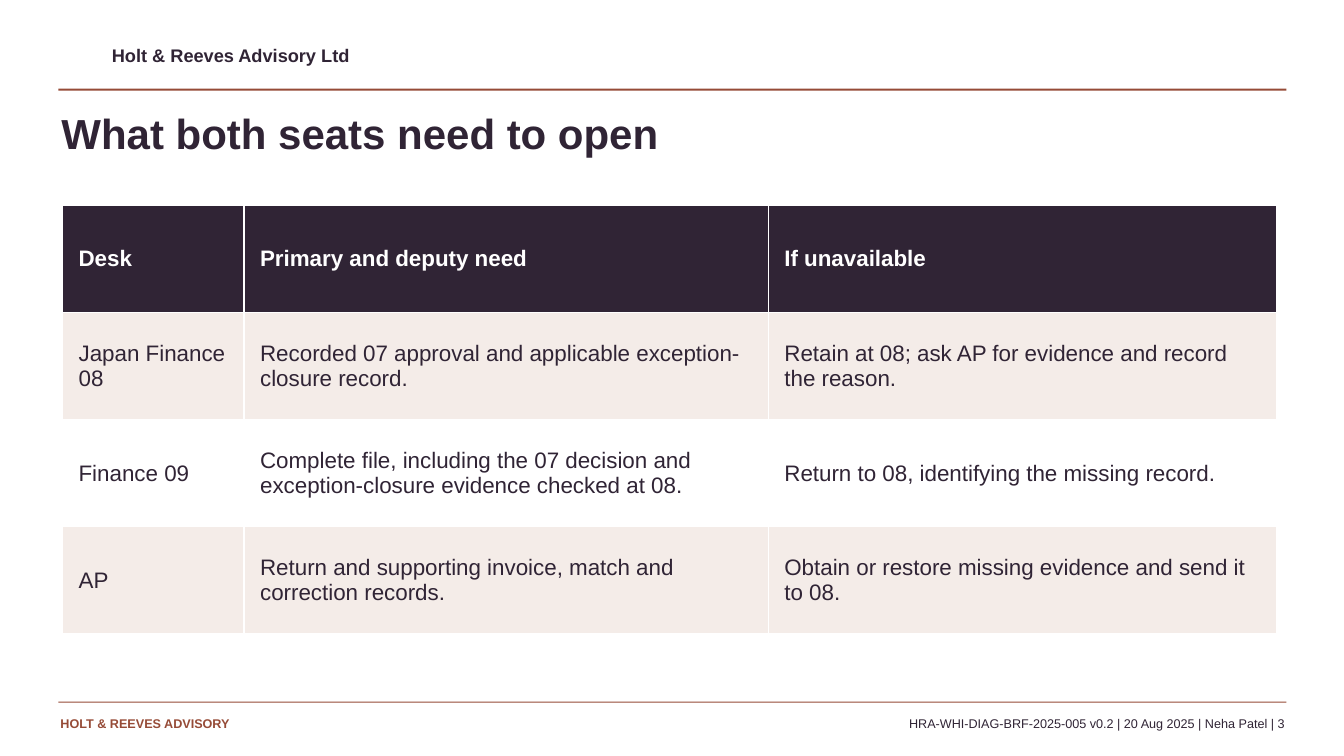
from lxml import etree
from pptx import Presentation
from pptx.dml.color import RGBColor
from pptx.enum.shapes import MSO_SHAPE
from pptx.enum.text import MSO_ANCHOR, PP_ALIGN
from pptx.oxml.ns import qn
from pptx.util import Pt

PX = 9144
FONT = "Arial"
COLORS = {"ink": "302435", "rust": "964B37", "blush": "F4ECE8", "white": "FFFFFF"}
LEFT, RIGHT = PP_ALIGN.LEFT, PP_ALIGN.RIGHT
TOP, MIDDLE = MSO_ANCHOR.TOP, MSO_ANCHOR.MIDDLE
RECTANGLE = MSO_SHAPE.RECTANGLE

COLUMN_WIDTHS = [180, 520, 504]
DESK_ROWS = [
    ["Desk", "Primary and deputy need", "If unavailable"],
    ["Japan Finance 08",
     "Recorded 07 approval and applicable exception-closure record.",
     "Retain at 08; ask AP for evidence and record the reason."],
    ["Finance 09",
     "Complete file, including the 07 decision and exception-closure evidence checked at 08.",
     "Return to 08, identifying the missing record."],
    ["AP",
     "Return and supporting invoice, match and correction records.",
     "Obtain or restore missing evidence and send it to 08."],
]


def px(*lengths):
    return [length * PX for length in lengths]


def rgb(name):
    return RGBColor.from_string(COLORS[name])


def write(frame, text, size, color, bold=False, align=LEFT):
    frame.text = text
    frame.word_wrap = True
    paragraph = frame.paragraphs[0]
    paragraph.alignment = align
    for run in paragraph.runs:
        run.font.name = FONT
        run.font.size = Pt(size)
        run.font.bold = bold
        run.font.color.rgb = rgb(color)


def clear_insets(frame):
    frame.margin_left = frame.margin_top = frame.margin_right = frame.margin_bottom = 0
    frame.vertical_anchor = TOP


def add_label(slide, box, text, size, color, bold=False, align=LEFT):
    frame = slide.shapes.add_textbox(*px(*box)).text_frame
    clear_insets(frame)
    write(frame, text, size, color, bold, align)


def add_rule(slide, left, top, width, height):
    rule = slide.shapes.add_shape(RECTANGLE, *px(left, top, width, height))
    rule.shadow.inherit = False
    rule.fill.solid()
    rule.fill.fore_color.rgb = rgb("rust")
    rule.line.fill.background()


def add_header(slide, left, top, width):
    add_label(slide, (left + 53, top, 600, 27), "Holt & Reeves Advisory Ltd", 13, "ink", True)
    add_rule(slide, left, top + 44, width, 2)


def add_title(slide, left, top, width, height):
    title = slide.shapes.title
    title.left, title.top, title.width, title.height = px(left, top, width, height)
    clear_insets(title.text_frame)
    write(title.text_frame, "What both seats need to open", 30, "ink", True)


def set_borders(cell):
    properties = cell._tc.get_or_add_tcPr()
    for side in "LRTB":
        border = etree.SubElement(properties, qn(f"a:ln{side}"), w=str(Pt(1)))
        fill = etree.SubElement(border, qn("a:solidFill"))
        etree.SubElement(fill, qn("a:srgbClr"), val=COLORS["white"])


def add_desk_table(slide, left, top, width, height):
    frame = slide.shapes.add_table(len(DESK_ROWS), len(COLUMN_WIDTHS), *px(left, top, width, height))
    table = frame.table
    for column, column_width in zip(table.columns, COLUMN_WIDTHS):
        column.width = column_width * PX
    for index, (row, texts) in enumerate(zip(table.rows, DESK_ROWS)):
        heading = index == 0
        background = "ink" if heading else "blush" if index % 2 else "white"
        for cell, text in zip(row.cells, texts):
            set_borders(cell)
            cell.fill.solid()
            cell.fill.fore_color.rgb = rgb(background)
            cell.margin_left = cell.margin_right = 16 * PX
            cell.margin_top = cell.margin_bottom = 5 * PX
            cell.vertical_anchor = MIDDLE
            write(cell.text_frame, text, 16, "white" if heading else "ink", heading)


def add_footer(slide, left, top, width):
    add_rule(slide, left, top, width, 1)
    add_label(slide, (left + 2, top + 14, 340, 25), "HOLT & REEVES ADVISORY", 9, "rust", True)
    add_label(slide, (left + 354, top + 14, width - 356, 23),
              "HRA-WHI-DIAG-BRF-2025-005 v0.2 | 20 Aug 2025 | Neha Patel | 3", 9, "ink", align=RIGHT)


def main():
    deck = Presentation()
    deck.slide_width, deck.slide_height = px(1333, 750)
    slide = deck.slides.add_slide(deck.slide_layouts[5])
    add_header(slide, 58, 44, 1218)
    add_title(slide, 61, 107, 1200, 78)
    add_desk_table(slide, 62, 204, sum(COLUMN_WIDTHS), 425)
    add_footer(slide, 58, 696, 1218)
    deck.save("out.pptx")


if __name__ == "__main__":
    main()
